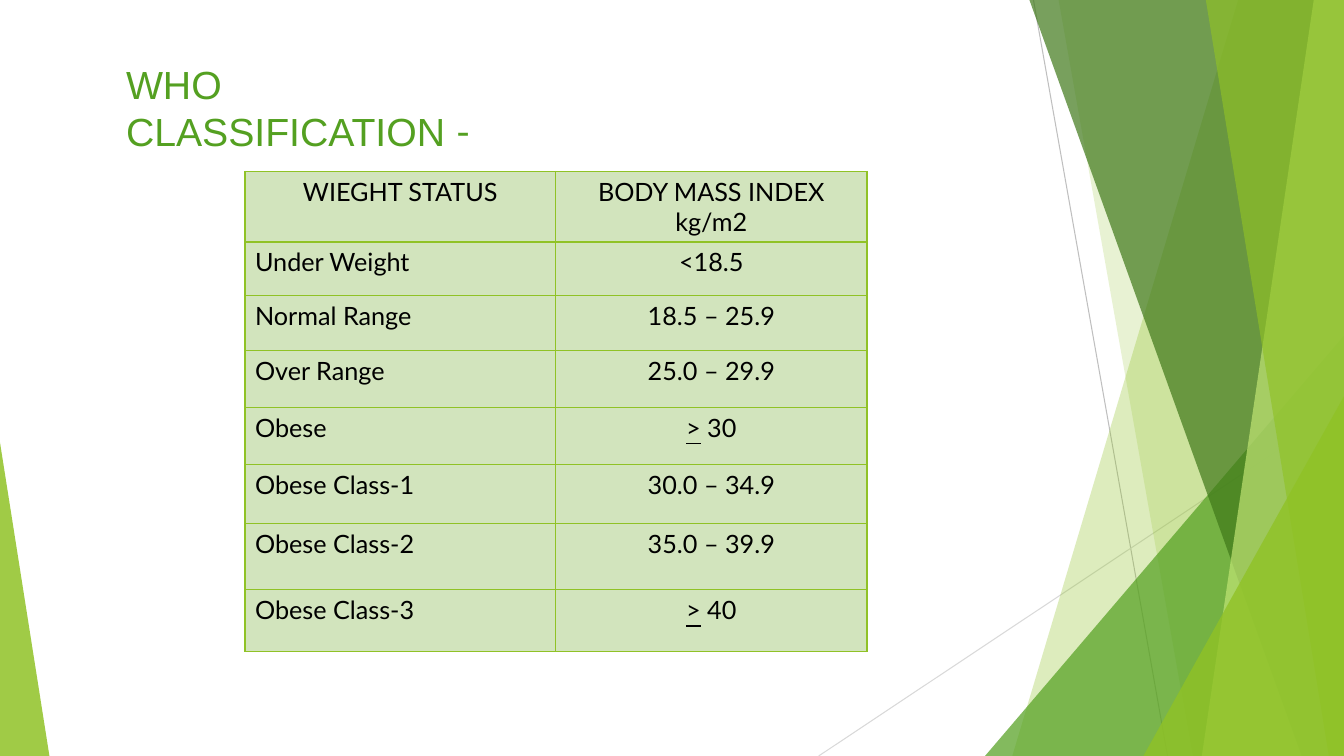
import pptx
import pptx.util
import pptx.dml.color
import pptx.enum.shapes
import pptx.enum.text
import pptx.oxml
import pptx.oxml.ns
from lxml import etree

Inches = pptx.util.Inches
Pt = pptx.util.Pt
RGB = pptx.dml.color.RGBColor.from_string
SHAPES = pptx.enum.shapes.MSO_SHAPE
ALIGN = pptx.enum.text.PP_ALIGN
qn = pptx.oxml.ns.qn

W, H = 13.33, 7.5
COLORS = {"lime": "90C226", "green": "54A021", "forest": "3F7819",
          "pale": "C0E474", "cell": "D2E4BD", "text": "000000",
          "grey": "BFBFBF", "light grey": "D9D9D9"}

prs = pptx.Presentation()
prs.slide_width, prs.slide_height = Inches(W), Inches(H)
s = prs.slides.add_slide(prs.slide_layouts[5])


def paint(sp, color, opacity):
    """Fill a facet with a see-through colour, without line or shadow."""
    sp.shadow.inherit = False
    sp.line.fill.background()
    sp.fill.solid()
    sp.fill.fore_color.rgb = RGB(COLORS[color])
    clr = sp.fill._xPr.find(qn("a:solidFill"))[0]
    etree.SubElement(clr, qn("a:alpha"), val=str(opacity * 1000))


# Thin lines behind the facets
for x1, y1, x2, color in [(10.25, 0, 11.58, "grey"), (W, 4.03, 8.12, "light grey")]:
    line = s.shapes.add_connector(pptx.enum.shapes.MSO_CONNECTOR.STRAIGHT,
                                  Inches(x1), Inches(y1), Inches(x2), Inches(H))
    line.line.color.rgb = RGB(COLORS[color])
    line.line.width = Pt(0.75)
    etree.SubElement(line._element.spPr, qn("a:effectLst"))

# Facets: bands (top x, bottom x) reach the right edge,
# triangles (left, top, width, apex) stand on the bottom edge
facets = [
    ((12.28, 10.04), "lime", 30),
    ((10.5, 11.83), "lime", 20),
    ((9.77, 3.33, 3.56, 1), "green", 72),
    ((10.21, 12.91), "forest", 70),
    ((13.03, 11.92), "pale", 70),
    ((11.96, 13.18), "lime", 65),
    ((11.34, 3.93, 1.99, 1), "lime", 80),
    ((0, 4.39, 0.49, 0), "lime", 85),
]
for geometry, color, opacity in facets:
    if len(geometry) == 2:
        top, bottom = geometry
        fb = s.shapes.build_freeform(top * 100, 0, scale=Inches(0.01))
        fb.add_line_segments([(W * 100, 0), (W * 100, H * 100), (bottom * 100, H * 100)])
        sp = fb.convert_to_shape()
    else:
        x, y, width, apex = geometry
        sp = s.shapes.add_shape(SHAPES.ISOSCELES_TRIANGLE, Inches(x), Inches(y),
                                Inches(width), Inches(H - y))
        sp.adjustments[0] = apex
    paint(sp, color, opacity)

# Classification table
rows = [
    ("WIEGHT STATUS", "BODY MASS INDEX kg/m2", 0.6),
    ("Under Weight", "<18.5", 0.53),
    ("Normal Range", "18.5 – 25.9", 0.55),
    ("Over Range", "25.0 – 29.9", 0.56),
    ("Obese", "> 30", 0.57),
    ("Obese Class-1", "30.0 – 34.9", 0.58),
    ("Obese Class-2", "35.0 – 39.9", 0.66),
    ("Obese Class-3", "> 40", 0.61),
]
table = s.shapes.add_table(len(rows), 2, Inches(2.43), Inches(1.7),
                           Inches(6.17), Inches(4.68)).table
table.first_row = table.horz_banding = False
table.columns[0].width, table.columns[1].width = Inches(3.08), Inches(3.09)
for i, (*texts, height) in enumerate(rows):
    table.rows[i].height = Inches(height)
    for j, text in enumerate(texts):
        cell = table.cell(i, j)
        tcPr = cell._tc.get_or_add_tcPr()
        for side in ("a:lnL", "a:lnR", "a:lnT", "a:lnB"):
            ln = etree.SubElement(tcPr, qn(side), w=str(Pt(1)))
            fill = etree.SubElement(ln, qn("a:solidFill"))
            etree.SubElement(fill, qn("a:srgbClr"), val=COLORS["lime"])
        cell.fill.solid()
        cell.fill.fore_color.rgb = RGB(COLORS["cell"])
        p = cell.text_frame.paragraphs[0]
        p.alignment = ALIGN.LEFT if i and j == 0 else ALIGN.CENTER
        # The sign of "at least" is an underlined ">"
        for part in ([">", text[1:]] if text.startswith(">") else [text]):
            r = p.add_run()
            r.text = part
            r.font.name, r.font.size = "Lato", Pt(18)
            r.font.color.rgb = RGB(COLORS["text"])
            if part == ">":
                r.font.underline = True

# Title
title = s.shapes.title
title.left, title.top = Inches(1.15), Inches(0.55)
title.width, title.height = Inches(4.36), Inches(0.57)
tf = title.text_frame
tf.word_wrap = True
tf.auto_size = pptx.enum.text.MSO_AUTO_SIZE.SHAPE_TO_FIT_TEXT
tf.vertical_anchor = pptx.enum.text.MSO_ANCHOR.TOP
p = tf.paragraphs[0]
p.alignment = ALIGN.LEFT
for text, font in [("WHO CLASSIFICATION ", "Arial"), ("-", "Lato")]:
    r = p.add_run()
    r.text = text
    r.font.name, r.font.size = font, Pt(28)
    r.font.color.rgb = RGB(COLORS["green"])

prs.save("out.pptx")
